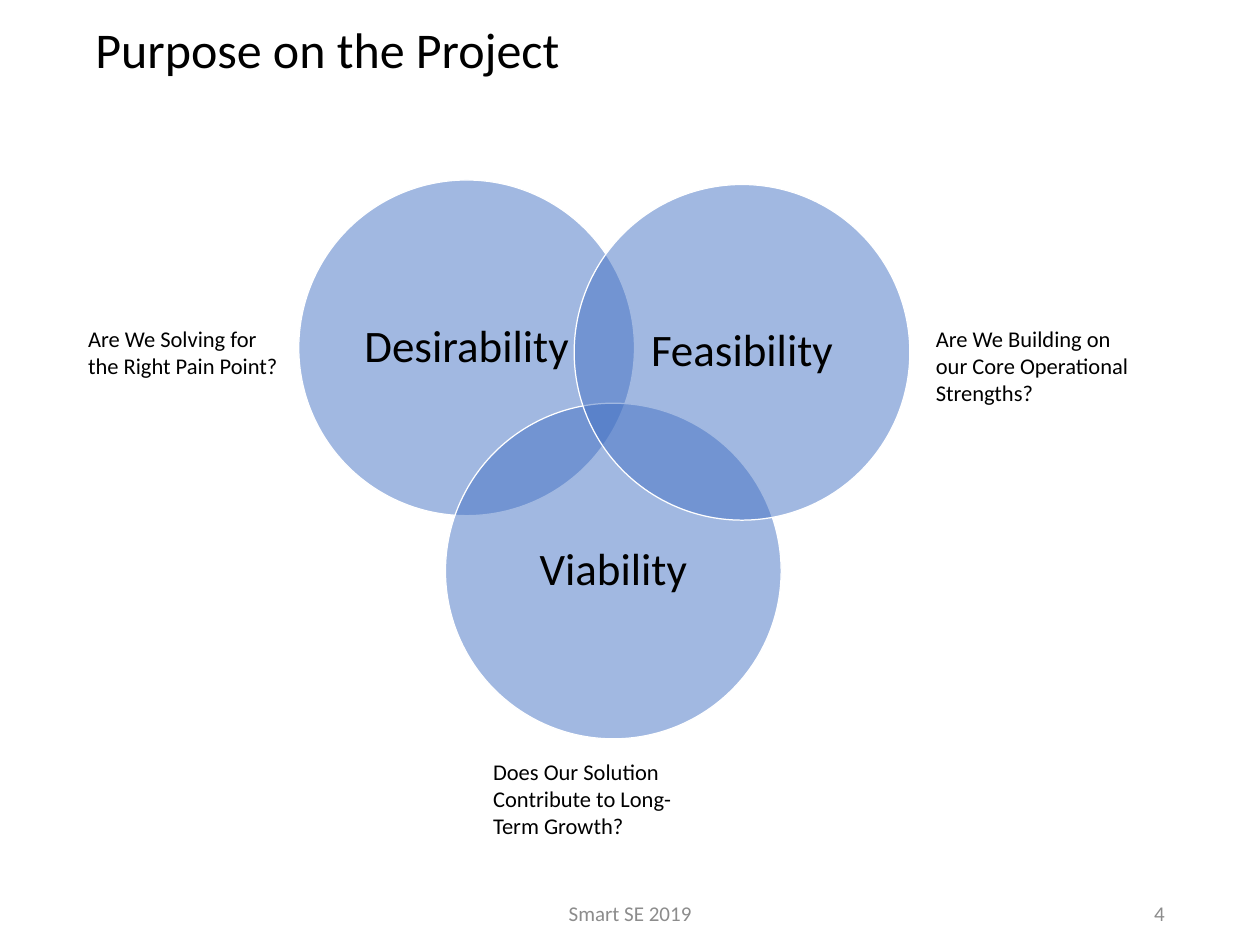
from dataclasses import dataclass

from lxml import etree
from pptx import Presentation
from pptx.dml.color import RGBColor
from pptx.enum.shapes import MSO_SHAPE
from pptx.enum.text import MSO_ANCHOR, MSO_AUTO_SIZE, PP_ALIGN
from pptx.oxml.ns import qn
from pptx.util import Inches, Pt

ELLIPSE = MSO_SHAPE.OVAL
TOP, MIDDLE = MSO_ANCHOR.TOP, MSO_ANCHOR.MIDDLE
LEFT, CENTER, RIGHT = PP_ALIGN.LEFT, PP_ALIGN.CENTER, PP_ALIGN.RIGHT
NO_AUTOFIT = MSO_AUTO_SIZE.NONE
TITLE_ONLY = 5

DIAMETER = 3.73
QUESTION_WIDTH = 2.38
CIRCLES = [
    ("Desirability", 3.32, 2),
    ("Viability", 4.95, 4.48),
    ("Feasibility", 6.38, 2.05),
]
QUESTIONS = [
    ("Are We Solving for the Right Pain Point?", 0.88, 3.56, 0.71),
    ("Are We Building on our Core Operational Strengths?", 10.3, 3.56, 1.01),
    ("Does Our Solution Contribute to Long-Term Growth?", 5.38, 8.37, 1.01),
]


@dataclass(frozen=True)
class Theme:
    font: str = "Calibri"
    ink: RGBColor = RGBColor(0x00, 0x00, 0x00)
    muted: RGBColor = RGBColor(0x8C, 0x8C, 0x8C)
    circle: RGBColor = RGBColor(0x44, 0x72, 0xC4)
    outline: RGBColor = RGBColor(0xFF, 0xFF, 0xFF)
    circle_opacity: int = 50
    title_size: float = 40
    circle_size: float = 36
    question_size: float = 18
    footer_size: float = 16.8


class SlideBuilder:
    """Draws styled elements on the current slide."""

    def __init__(self, slide, theme):
        self.slide = slide
        self.theme = theme

    def set_text(self, frame, text, size, color, align=LEFT, anchor=MIDDLE, spacing=1.0):
        frame.auto_size = NO_AUTOFIT
        frame.vertical_anchor = anchor
        frame.text = text
        paragraph = frame.paragraphs[0]
        paragraph.alignment = align
        paragraph.line_spacing = spacing
        paragraph.font.name = self.theme.font
        paragraph.font.size = Pt(size)
        paragraph.font.color.rgb = color

    def title(self, text, left, top, width, height):
        heading = self.slide.shapes.title
        heading.left, heading.top = Inches(left), Inches(top)
        heading.width, heading.height = Inches(width), Inches(height)
        self.set_text(heading.text_frame, text, self.theme.title_size, self.theme.ink,
                      spacing=0.9)

    def label(self, text, left, top, width, height, size, color, align=LEFT, anchor=TOP):
        label = self.slide.shapes.add_textbox(
            Inches(left), Inches(top), Inches(width), Inches(height))
        label.text_frame.word_wrap = True
        self.set_text(label.text_frame, text, size, color, align, anchor)

    def question(self, text, left, top, height):
        self.label(text, left, top, QUESTION_WIDTH, height,
                   self.theme.question_size, self.theme.ink)

    def footer(self, text, left, width, align):
        self.label(text, left, 10, width, 0.29,
                   self.theme.footer_size, self.theme.muted, align, MIDDLE)

    def circle(self, text, left, top):
        circle = self.slide.shapes.add_shape(
            ELLIPSE, Inches(left), Inches(top), Inches(DIAMETER), Inches(DIAMETER))
        circle.shadow.inherit = False
        circle.fill.solid()
        circle.fill.fore_color.rgb = self.theme.circle
        properties = circle.element.find(qn("p:spPr"))
        fill_color = properties.find(qn("a:solidFill")).find(qn("a:srgbClr"))
        etree.SubElement(fill_color, qn("a:alpha"), val=str(self.theme.circle_opacity * 1000))
        circle.line.color.rgb = self.theme.outline
        circle.line.width = Pt(1)
        circle.text_frame.word_wrap = False
        self.set_text(circle.text_frame, text, self.theme.circle_size, self.theme.ink,
                      CENTER, spacing=0.9)


def main():
    deck = Presentation()
    deck.slide_width, deck.slide_height = Inches(14), Inches(10.5)
    slide = deck.slides.add_slide(deck.slide_layouts[TITLE_ONLY])
    builder = SlideBuilder(slide, Theme())

    builder.title("Purpose on the Project", 0.96, 0.12, 12.07, 0.92)
    builder.footer("Smart SE 2019", 4.64, 4.72, CENTER)
    builder.footer("4", 9.89, 3.15, RIGHT)
    for name, left, top in CIRCLES:
        builder.circle(name, left, top)
    for question, left, top, height in QUESTIONS:
        builder.question(question, left, top, height)

    deck.save("out.pptx")


if __name__ == "__main__":
    main()
